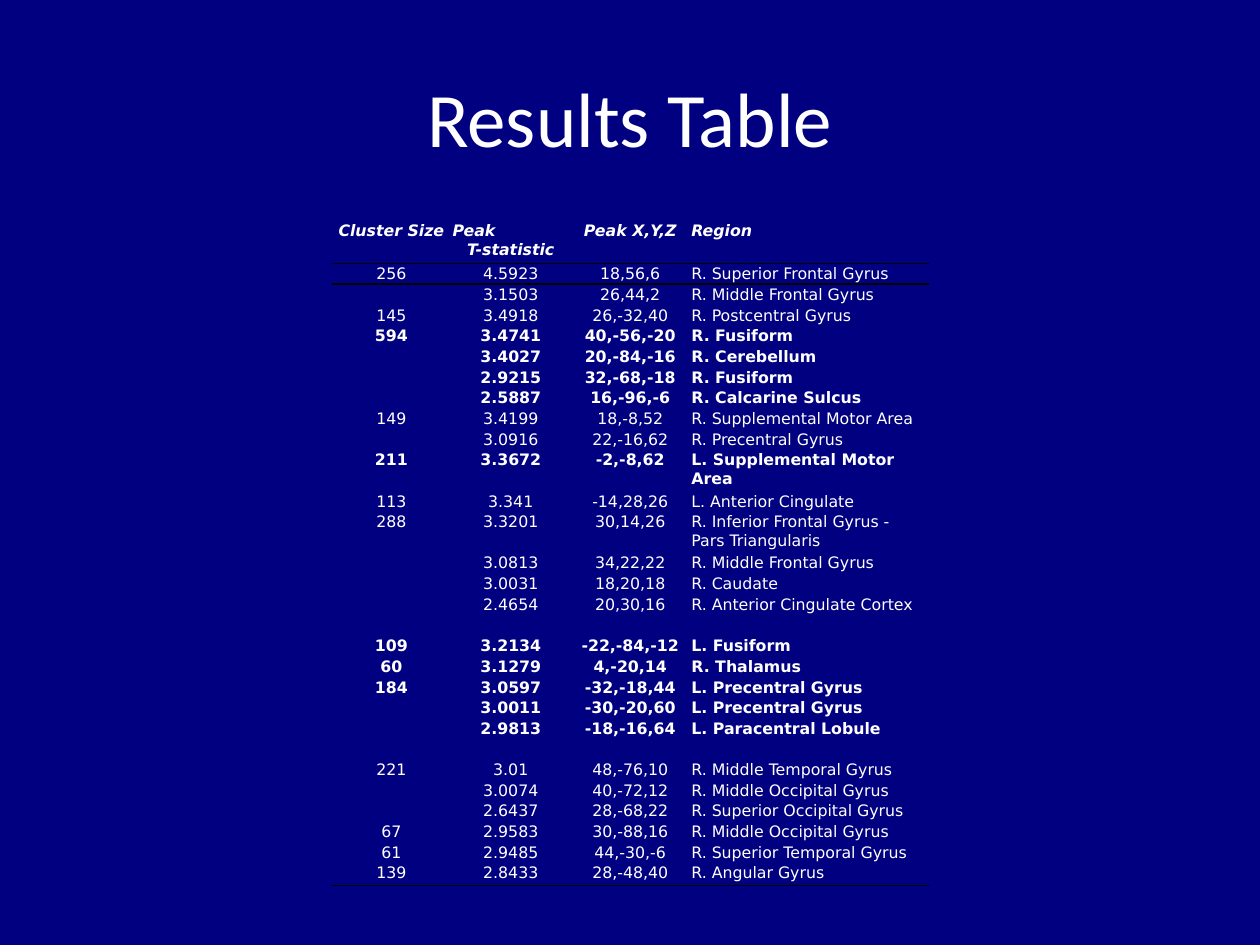
from typing import NamedTuple

import lxml.etree
import pptx
import pptx.dml.color
import pptx.enum.text
import pptx.oxml.ns
import pptx.util

PX = pptx.util.Inches(1) // 250
COLORS = {"background": "000080", "text": "FFFFFF", "rule": "000000"}
NO_STYLE = "{2D5ABB26-0587-4C30-8999-92F81FD0307C}"
BODY_FONT, BODY_SIZE = "DejaVu Sans", pptx.util.Pt(9)
COLUMN_WIDTH = 237
HEADER_HEIGHT, LINE_HEIGHT, LAST_HEIGHT = 85, 41, 45
CELL_INSET = 3
LONGEST_NARROW_REGION = 11  # longer names span the last two columns
LONGEST_ONE_LINE_REGION = 27
LEFT = pptx.enum.text.PP_ALIGN.LEFT
CENTER = pptx.enum.text.PP_ALIGN.CENTER


class Peak(NamedTuple):
    size: str
    statistic: str
    position: str
    region: str
    bold: bool = False

    @property
    def height(self) -> int:
        wraps = len(self.region) > LONGEST_ONE_LINE_REGION or (
            self.bold and len(self.region) > 20)
        return LINE_HEIGHT * (2 if wraps else 1)


PEAKS = [
    Peak("256", "4.5923", "18,56,6", "R. Superior Frontal Gyrus"),
    Peak("", "3.1503", "26,44,2", "R. Middle Frontal Gyrus"),
    Peak("145", "3.4918", "26,-32,40", "R. Postcentral Gyrus"),
    Peak("594", "3.4741", "40,-56,-20", "R. Fusiform", True),
    Peak("", "3.4027", "20,-84,-16", "R. Cerebellum", True),
    Peak("", "2.9215", "32,-68,-18", "R. Fusiform", True),
    Peak("", "2.5887", "16,-96,-6", "R. Calcarine Sulcus", True),
    Peak("149", "3.4199", "18,-8,52", "R. Supplemental Motor Area"),
    Peak("", "3.0916", "22,-16,62", "R. Precentral Gyrus"),
    Peak("211", "3.3672", "-2,-8,62", "L. Supplemental Motor Area", True),
    Peak("113", "3.341", "-14,28,26", "L. Anterior Cingulate"),
    Peak("288", "3.3201", "30,14,26", "R. Inferior Frontal Gyrus - Pars Triangularis"),
    Peak("", "3.0813", "34,22,22", "R. Middle Frontal Gyrus"),
    Peak("", "3.0031", "18,20,18", "R. Caudate"),
    Peak("", "2.4654", "20,30,16", "R. Anterior Cingulate Cortex"[:28]),
    Peak("109", "3.2134", "-22,-84,-12", "L. Fusiform", True),
    Peak("60", "3.1279", "4,-20,14", "R. Thalamus", True),
    Peak("184", "3.0597", "-32,-18,44", "L. Precentral Gyrus", True),
    Peak("", "3.0011", "-30,-20,60", "L. Precentral Gyrus", True),
    Peak("", "2.9813", "-18,-16,64", "L. Paracentral Lobule", True),
    Peak("221", "3.01", "48,-76,10", "R. Middle Temporal Gyrus"),
    Peak("", "3.0074", "40,-72,12", "R. Middle Occipital Gyrus"),
    Peak("", "2.6437", "28,-68,22", "R. Superior Occipital Gyrus"),
    Peak("67", "2.9583", "30,-88,16", "R. Middle Occipital Gyrus"),
    Peak("61", "2.9485", "44,-30,-6", "R. Superior Temporal Gyrus"),
    Peak("139", "2.8433", "28,-48,40", "R. Angular Gyrus"),
]


def rgb(name: str) -> pptx.dml.color.RGBColor:
    return pptx.dml.color.RGBColor.from_string(COLORS[name])


def add_run(paragraph, text: str, font: str, size: int,
            bold: bool = False, italic: bool = False) -> None:
    run = paragraph.add_run()
    run.text = text
    run.font.name, run.font.size = font, size
    run.font.bold, run.font.italic = bold, italic
    run.font.color.rgb = rgb("text")


def format_cell(cell) -> None:
    cell.fill.background()
    cell.margin_left = cell.margin_right = cell.margin_top = CELL_INSET * PX
    cell.margin_bottom = 0
    # Small end mark, so that an empty cell does not stretch its row
    end = lxml.etree.SubElement(cell.text_frame.paragraphs[0]._p,
                                pptx.oxml.ns.qn("a:endParaRPr"))
    end.set("sz", str(int(BODY_SIZE.pt * 100)))


def write_line(paragraph, text: str, align, bold: bool, italic: bool = False) -> None:
    paragraph.alignment = align
    if text:
        add_run(paragraph, text, BODY_FONT, BODY_SIZE, bold, italic)


def rule_row(table, row: int, side: str) -> None:
    for column in range(len(table.columns)):
        properties = table.cell(row, column)._tc.get_or_add_tcPr()
        line = lxml.etree.Element(pptx.oxml.ns.qn(f"a:{side}"), w=str(pptx.util.Pt(1)))
        fill = lxml.etree.SubElement(line, pptx.oxml.ns.qn("a:solidFill"))
        lxml.etree.SubElement(fill, pptx.oxml.ns.qn("a:srgbClr"), val=COLORS["rule"])
        properties.insert(0, line)


def add_title(slide, text: str) -> None:
    title = slide.shapes.title
    title.left, title.top, title.width, title.height = (
        length * PX for length in (125, 75, 2250, 312))
    title.text_frame.vertical_anchor = pptx.enum.text.MSO_ANCHOR.MIDDLE
    paragraph = title.text_frame.paragraphs[0]
    paragraph.alignment = CENTER
    add_run(paragraph, text, "Calibri", pptx.util.Pt(44))


def add_results(slide, peaks: list[Peak]) -> None:
    heights = [HEADER_HEIGHT, *(peak.height for peak in peaks[:-1]), LAST_HEIGHT]
    frame = slide.shapes.add_table(len(heights), 5, 658 * PX, 438 * PX,
                                   5 * COLUMN_WIDTH * PX, sum(heights) * PX)
    table = frame.table
    table.first_row = table.horz_banding = False
    table._tbl.tblPr.find(pptx.oxml.ns.qn("a:tableStyleId")).text = NO_STYLE
    for column in table.columns:
        column.width = COLUMN_WIDTH * PX
    for row, height in zip(table.rows, heights):
        row.height = height * PX
    for cell in table.iter_cells():
        format_cell(cell)

    # Header
    headings = [[("Cluster Size", CENTER)], [("Peak", LEFT), ("T-statistic", CENTER)],
                [("Peak X,Y,Z", CENTER)], [("Region", LEFT)]]
    for column, lines in enumerate(headings):
        text_frame = table.cell(0, column).text_frame
        for index, (text, align) in enumerate(lines):
            paragraph = text_frame.add_paragraph() if index else text_frame.paragraphs[0]
            write_line(paragraph, text, align, bold=True, italic=True)

    # Peaks
    for row, peak in enumerate(peaks, start=1):
        if len(peak.region) > LONGEST_NARROW_REGION:
            table.cell(row, 3).merge(table.cell(row, 4))
        values = (peak.size, peak.statistic, peak.position, peak.region)
        for column, text in enumerate(values):
            write_line(table.cell(row, column).text_frame.paragraphs[0], text,
                       LEFT if column == 3 else CENTER, peak.bold)

    # Rules under the header and the last row
    rule_row(table, 0, "lnB")
    rule_row(table, 1, "lnT")
    rule_row(table, len(peaks), "lnB")


def main() -> None:
    deck = pptx.Presentation()
    deck.slide_width, deck.slide_height = 2500 * PX, 1875 * PX
    slide = deck.slides.add_slide(deck.slide_layouts[5])
    slide.background.fill.solid()
    slide.background.fill.fore_color.rgb = rgb("background")
    add_title(slide, "Results Table")
    add_results(slide, PEAKS)
    deck.save("out.pptx")


if __name__ == "__main__":
    main()
